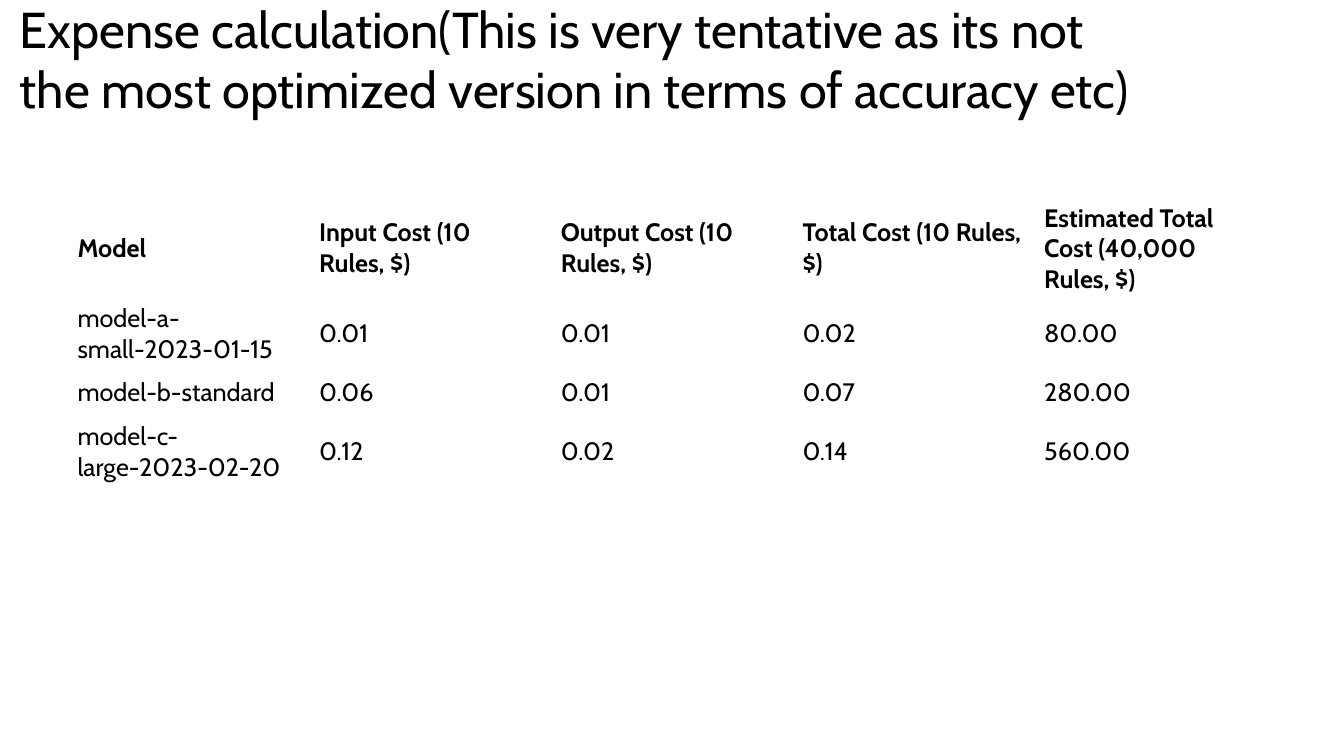
from pptx import Presentation
from pptx.dml.color import RGBColor
from pptx.enum.text import MSO_ANCHOR, MSO_AUTO_SIZE, PP_ALIGN
from pptx.util import Cm, Pt

LEFT = PP_ALIGN.LEFT
TOP, MIDDLE = MSO_ANCHOR.TOP, MSO_ANCHOR.MIDDLE
GROW = MSO_AUTO_SIZE.SHAPE_TO_FIT_TEXT
TITLE_ONLY = 5

COLORS = {"text": "000000"}

TITLE_LINES = [
    "Expense calculation(This is very tentative as its not",
    "the most optimized version in terms of accuracy etc)",
]
COST_ROWS = [
    ["Model", "Input Cost (10 Rules, $)", "Output Cost (10 Rules, $)",
     "Total Cost (10 Rules, $)", "Estimated Total Cost (40,000 Rules, $)"],
    ["model-a-small-2023-01-15", "0.01", "0.01", "0.02", "80.00"],
    ["model-b-standard", "0.06", "0.01", "0.07", "280.00"],
    ["model-c-large-2023-02-20", "0.12", "0.02", "0.14", "560.00"],
]


def set_attributes(target, values):
    for name, value in values.items():
        setattr(target, name, value)


class SlideBuilder:
    """Holds the text style and the current slide."""

    def __init__(self, slide, font_name):
        self.slide = slide
        self.font_name = font_name

    def format_paragraph(self, paragraph, size, bold=False):
        paragraph.alignment = LEFT
        font = paragraph.runs[0].font
        set_attributes(font, {"name": self.font_name, "size": Pt(size), "bold": bold})
        font.color.rgb = RGBColor.from_string(COLORS["text"])

    def add_title(self, lines, box, size, indent):
        title = self.slide.shapes.title
        set_attributes(title, dict(zip(("left", "top", "width", "height"), box)))
        frame = title.text_frame
        frame.text = "\n".join(lines)
        set_attributes(frame, {"word_wrap": True, "auto_size": GROW, "vertical_anchor": TOP})
        for paragraph in frame.paragraphs:
            self.format_paragraph(paragraph, size)
            properties = paragraph._p.get_or_add_pPr()
            properties.set("marL", str(indent))
            properties.set("indent", "0")

    def add_table(self, rows, left, top, column_width, row_height, size):
        column_count = len(rows[0])
        table = self.slide.shapes.add_table(
            len(rows), column_count, left, top,
            column_width * column_count, row_height * len(rows)).table
        set_attributes(table, {"first_row": False, "horz_banding": False})
        for column in table.columns:
            column.width = column_width
        for row_index, values in enumerate(rows):
            table.rows[row_index].height = row_height
            for column_index, value in enumerate(values):
                cell = table.cell(row_index, column_index)
                set_attributes(cell, {"text": value, "vertical_anchor": MIDDLE})
                cell.fill.background()
                self.format_paragraph(cell.text_frame.paragraphs[0], size, row_index == 0)


def main():
    presentation = Presentation()
    set_attributes(presentation, {"slide_width": Cm(33.87), "slide_height": Cm(19.05)})
    slide = presentation.slides.add_slide(presentation.slide_layouts[TITLE_ONLY])
    builder = SlideBuilder(slide, "Cabin")

    # Title
    title_box = (Cm(-1.02), Cm(-0.18), Cm(34.44), Cm(3.33))
    builder.add_title(TITLE_LINES, title_box, size=36, indent=Cm(1.27))

    # Cost table
    builder.add_table(COST_ROWS, Cm(1.7), Cm(4.98), Cm(6.09), Cm(1.19), size=18)

    presentation.save("out.pptx")


if __name__ == "__main__":
    main()
